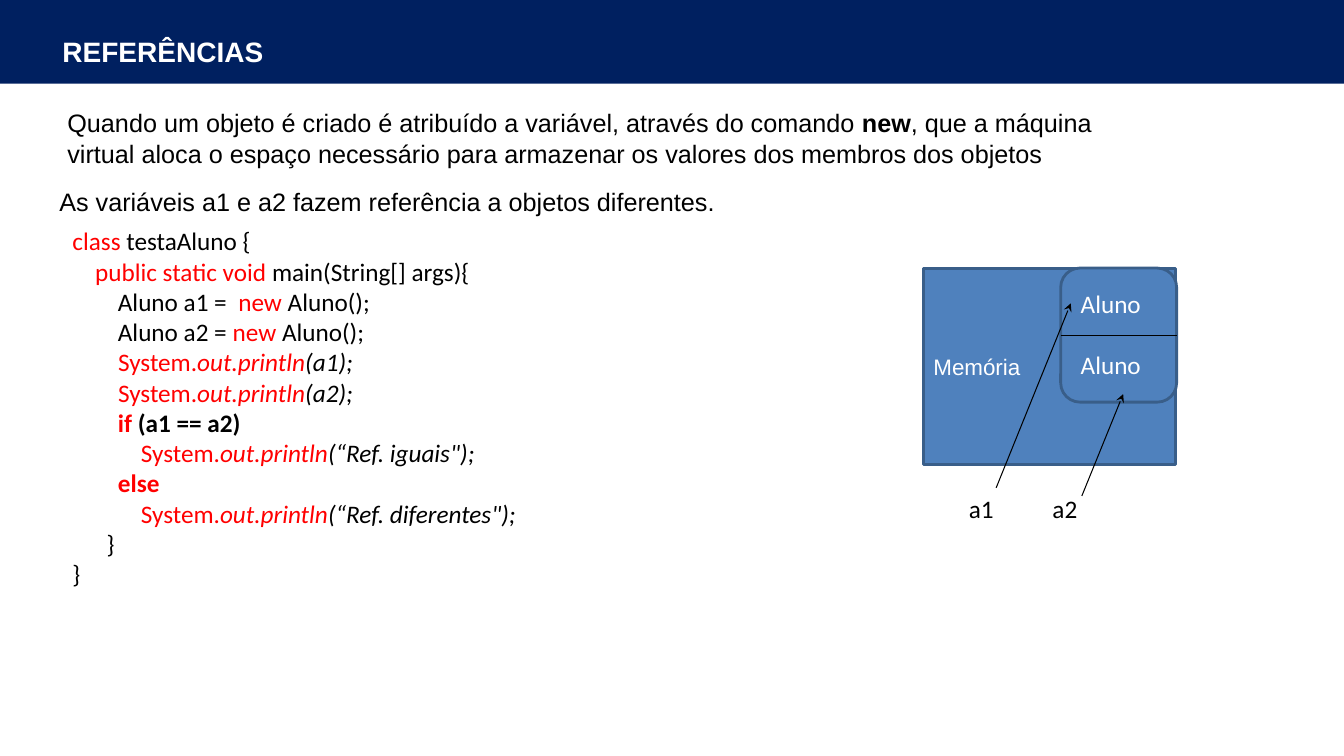
import pptx
import pptx.util
import pptx.dml.color
import pptx.enum.shapes
import pptx.enum.text
import pptx.oxml
import pptx.oxml.ns

Inches = pptx.util.Inches
Pt = pptx.util.Pt
SHAPES = pptx.enum.shapes.MSO_SHAPE
ALIGN = pptx.enum.text.PP_ALIGN

COLORS = {
    "navy": "002060",
    "white": "FFFFFF",
    "black": "000000",
    "keyword": "FF0000",
    "memory": "4F81BD",
    "memory_edge": "395E89",
}

STYLES = {
    "": {},
    "bold": {"bold": True},
    "key": {"color": "keyword"},
    "key_bold": {"color": "keyword", "bold": True},
    "key_italic": {"color": "keyword", "italic": True},
    "italic": {"italic": True},
}

INDENT = " " * 4


def print_line(depth, argument):
    return [(INDENT * depth, ""), ("System.", "key"),
            ("out.println", "key_italic"), (f"({argument});", "italic")]


CODE = [
    [("class", "key"), (" testaAluno {", "")],
    [(INDENT + "public static void ", "key"), ("main(String[] args){", "")],
    [(INDENT * 2 + "Aluno a1 =", ""), ("  new ", "key"), ("Aluno();", "")],
    [(INDENT * 2 + "Aluno a2 = ", ""), ("new", "key"), (" Aluno();", "")],
    print_line(2, "a1"),
    print_line(2, "a2"),
    [(INDENT * 2 + "if", "key_bold"), (" (a1 == a2)", "bold")],
    print_line(3, "“Ref. iguais\""),
    [(INDENT * 2 + "else", "key_bold")],
    print_line(3, "“Ref. diferentes\""),
    [("      }", "")],
    [("}", "")],
]

INTRO = [
    [("Quando um objeto é criado é atribuído a variável, através do comando ", ""),
     ("new", "bold"), (", que a máquina ", "")],
    [("virtual aloca o espaço necessário para armazenar os valores dos membros dos objetos", "")],
]


def rgb(name):
    return pptx.dml.color.RGBColor.from_string(COLORS[name])


def write_lines(frame, lines, font, size=18, color="black", align=ALIGN.LEFT, spacing=None):
    frame.word_wrap = True
    for number, line in enumerate(lines):
        paragraph = frame.add_paragraph() if number else frame.paragraphs[0]
        paragraph.alignment = align
        if spacing:
            paragraph.line_spacing = spacing
        for words, style in line:
            run = paragraph.add_run()
            run.text = words
            look = {"name": font, "size": Pt(size), **STYLES[style]}
            run.font.color.rgb = rgb(look.pop("color", color))
            for attribute, value in look.items():
                setattr(run.font, attribute, value)


def add_text(slide, box, lines, font, **look):
    label = slide.shapes.add_textbox(*map(Inches, box))
    label.text_frame.auto_size = pptx.enum.text.MSO_AUTO_SIZE.SHAPE_TO_FIT_TEXT
    write_lines(label.text_frame, lines, font, **look)


def add_block(slide, box, fill, edge=None, preset=SHAPES.RECTANGLE):
    block = slide.shapes.add_shape(preset, *map(Inches, box))
    block.shadow.inherit = False
    block.fill.solid()
    block.fill.fore_color.rgb = rgb(fill)
    if edge:
        block.line.color.rgb = rgb(edge)
        block.line.width = Pt(2)
    else:
        block.line.fill.background()
    return block


def add_line(slide, start, end, arrow=False):
    line = slide.shapes.add_connector(
        pptx.enum.shapes.MSO_CONNECTOR.STRAIGHT, *map(Inches, start + end))
    line.line.color.rgb = rgb("black")
    line.line.width = Pt(0.75)
    if arrow:
        head = pptx.oxml.parse_xml(
            f'<a:tailEnd {pptx.oxml.ns.nsdecls("a")} type="stealth"/>')
        line.line._get_or_add_ln().append(head)
    line._element.spPr.append(
        pptx.oxml.parse_xml(f'<a:effectLst {pptx.oxml.ns.nsdecls("a")}/>'))
    return line


def draw_header(slide, box):
    left, top, width, height = box
    add_block(slide, box, "navy")
    add_text(slide, (left + 0.53, top + 0.13, 2.22, 0.54),
             [[("REFERÊNCIAS", "bold")]], "Arial", size=20, color="white", spacing=1.5)


def draw_explanation(slide, box):
    left, top, width, height = box
    add_text(slide, (left + 0.08, top, width, 0.71), INTRO, "Arial", align=ALIGN.JUSTIFY)
    add_text(slide, (left, top + 0.78, 6.77, 0.4),
             [[("As variáveis a1 e a2 fazem referência a objetos diferentes.", "")]], "Arial")


def draw_code(slide, box):
    add_text(slide, box, CODE, "Calibri")


def draw_memory(slide, box):
    left, top, width, height = box
    memory = add_block(slide, box, "memory", "memory_edge")
    memory.text_frame.vertical_anchor = pptx.enum.text.MSO_ANCHOR.MIDDLE
    write_lines(memory.text_frame, [[("Memória", "")]], "Arial", size=16, color="white")

    heap_left, heap_width, heap_height = left + 1.36, 1.15, 1.33
    heap = add_block(slide, (heap_left, top, heap_width, heap_height),
                     "memory", "memory_edge", SHAPES.ROUNDED_RECTANGLE)
    middle = top + heap_height / 2
    divider = add_line(slide, (heap_left, middle), (heap_left + heap_width, middle))
    divider.begin_connect(heap, 1)
    divider.end_connect(heap, 3)

    for offset in (0.15, 0.76):
        add_text(slide, (heap_left + 0.1, top + offset, 0.81, 0.4),
                 [[("Aluno", "")]], "Calibri", color="white")

    references = [
        ("a1", 0.35, 0.45, (0.72, 2.18), (1.46, 0.35)),
        ("a2", 1.18, 0.6, (1.57, 2.26), (1.98, 1.25)),
    ]
    for variable, offset, label_width, start, end in references:
        add_text(slide, (left + offset, top + 2.18, label_width, 0.4),
                 [[(variable, "")]], "Calibri")
        add_line(slide, (left + start[0], top + start[1]),
                 (left + end[0], top + end[1]), arrow=True)


def main():
    deck = pptx.Presentation()
    deck.slide_width = Inches(13.33)
    deck.slide_height = Inches(7.5)
    slide = deck.slides.add_slide(deck.slide_layouts[6])
    draw_header(slide, (-0.01, 0, 13.35, 0.83))
    draw_explanation(slide, (0.49, 1.02, 11.72, 1.18))
    draw_code(slide, (0.62, 2.19, 7.71, 3.74))
    draw_memory(slide, (9.16, 2.66, 2.5, 1.95))
    deck.save("out.pptx")


if __name__ == "__main__":
    main()
